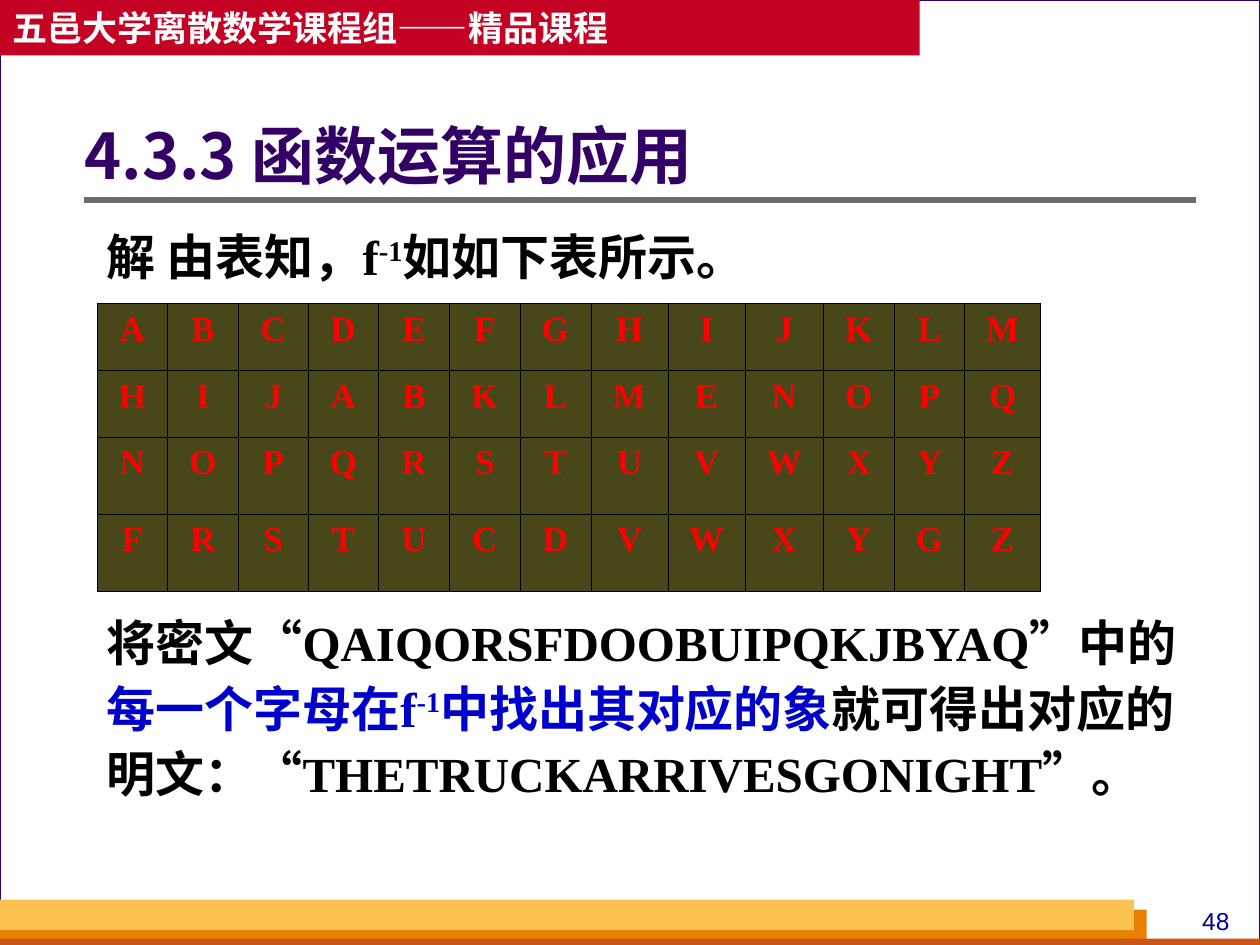
from collections import namedtuple
from dataclasses import dataclass

from lxml.etree import SubElement as Sub
from pptx import Presentation
from pptx.dml.color import RGBColor as RGB
from pptx.enum.shapes import MSO_CONNECTOR as Conn, MSO_SHAPE as Shape
from pptx.enum.text import MSO_ANCHOR as Anchor, PP_ALIGN as Align
from pptx.oxml.ns import qn
from pptx.util import Inches, Pt

Box = namedtuple("Box", "x y w h")
UNIT = Inches(0.1)  # the slide is a grid of 100 columns and 75 rows
COLS, ROWS = 100, 75


@dataclass(frozen=True)
class Theme:
    sans: str = "Noto Sans CJK SC"
    serif: str = "Times New Roman"
    plain: str = "Arial"
    back: str = "D8DADA"
    white: str = "FFFFFF"
    ink: str = "000000"
    title: str = "330066"
    red: str = "C30224"
    rule: str = "6B6B6B"
    gold: str = "FCC24F"
    orange: str = "E88000"
    rust: str = "C95616"
    number: str = "000099"
    mark: str = "0000CC"
    letter: str = "FF0000"
    cell: str = "333300"
    head_size: int = 20
    title_size: int = 36
    body_size: int = 28
    cell_size: int = 20
    page_size: int = 14


T = Theme()
HEAD = dict(name=T.sans, size=Pt(T.head_size), bold=True)
TITLE = dict(name=T.sans, size=Pt(T.title_size), bold=True)
BODY = dict(name=T.serif, size=Pt(T.body_size), bold=True)
CELL = dict(name=T.serif, size=Pt(T.cell_size), bold=True)
PAGE = dict(name=T.plain, size=Pt(T.page_size))

CIPHER = ["ABCDEFGHIJKLM", "HIJABKLMENOPQ", "NOPQRSTUVWXYZ", "FRSTUCDVWXYGZ"]
WIDE = [56, 56, 55, 56, 56, 56, 56, 61, 61, 62, 56, 56, 60]
TALL = [53, 53, 61, 61]
INTRO = [("解 由表知，f", T.ink, 0), ("-1", T.ink, 30), ("如如下表所示。", T.ink, 0)]
ANSWER = [
    ("将密文“QAIQORSFDOOBUIPQKJBYAQ”中的", T.ink, 0),
    ("每一个字母在f", T.mark, 0),
    ("-1", T.mark, 30),
    ("中找出其对应的象", T.mark, 0),
    ("就可得出对应的明文：“THETRUCKARRIVESGONIGHT”。", T.ink, 0),
]


def emu(*grid):
    return [int(n * UNIT) for n in grid]


def apply(item, form):
    for key, val in form.items():
        setattr(item, key, val)


def write(para, text, form, color, base=0):
    """Add a run; base raises it by a percentage."""
    run = para.add_run()
    run.text = text
    apply(run.font, form)
    run.font.color.rgb = RGB.from_string(color)
    props = run.font._element
    Sub(props, qn("a:ea"), typeface=T.sans)
    if base:
        props.set("baseline", str(base * 1000))


def block(slide, box, fill, line=None):
    shape = slide.shapes.add_shape(Shape.RECTANGLE, *emu(*box))
    shape.shadow.inherit = False
    shape.fill.solid()
    shape.fill.fore_color.rgb = RGB.from_string(fill)
    if line:
        shape.line.color.rgb = RGB.from_string(line)
        shape.line.width = Pt(0.75)
    else:
        shape.line.fill.background()
    return shape


def label(slide, box, **form):
    frame = slide.shapes.add_textbox(*emu(*box)).text_frame
    apply(frame, dict(word_wrap=True, **form))
    return frame


def banner(slide, box):
    frame = block(slide, box, T.red).text_frame
    apply(frame, dict(word_wrap=True, vertical_anchor=Anchor.MIDDLE))
    para = frame.paragraphs[0]
    para.alignment = Align.LEFT
    write(para, "五邑大学离散数学课程组——精品课程", HEAD, T.white)


def footer(slide, box):
    x, y, w, h = box
    block(slide, Box(x, y + 0.22 * h, 0.91 * w, 0.78 * h), T.orange)
    block(slide, Box(x, y + 0.86 * h, w, 0.14 * h), T.rust)
    block(slide, Box(x, y, 0.9 * w, 0.67 * h), T.gold)
    frame = label(slide, Box(x + 0.93 * w, y, 0.07 * w, 0.94 * h))
    para = frame.paragraphs[0]
    para.alignment = Align.CENTER
    write(para, "48", PAGE, T.number)


def heading(slide, box):
    """Title text with a rule across the lower part of its box."""
    x, y, w, h = box
    low = y + 0.82 * h
    rule = slide.shapes.add_connector(Conn.STRAIGHT, *emu(x, low, x + w, low))
    rule.line.color.rgb = RGB.from_string(T.rule)
    rule.line.width = Pt(3)
    Sub(rule._element.spPr, qn("a:effectLst"))
    frame = label(slide, box, margin_left=0, vertical_anchor=Anchor.MIDDLE)
    para = frame.paragraphs[0]
    para.line_spacing = 0.9
    write(para, "4.3.3 函数运算的应用", TITLE, T.title)


def body(slide, box):
    """Two paragraphs, with room for the table between them."""
    frame = label(slide, box)
    first, last = frame.paragraphs[0], frame.add_paragraph()
    last.space_before = Pt(183)
    for para, parts in ((first, INTRO), (last, ANSWER)):
        para.line_spacing = Pt(37.4)
        for text, color, base in parts:
            write(para, text, BODY, color, base)


def border(props):
    for side in ("lnL", "lnR", "lnT", "lnB"):
        line = Sub(props, qn(f"a:{side}"), w=str(Pt(0.45)))
        Sub(Sub(line, qn("a:solidFill")), qn("a:srgbClr"), val=T.ink)


def cipher(slide, box):
    grid = slide.shapes.add_table(len(TALL), len(WIDE), *emu(*box)).table
    apply(grid, dict(first_row=False, horz_banding=False))
    for col, part in zip(grid.columns, WIDE):
        col.width = int(box.w * UNIT * part / sum(WIDE))
    for row, part, line in zip(grid.rows, TALL, CIPHER):
        row.height = int(box.h * UNIT * part / sum(TALL))
        for cell, char in zip(row.cells, line):
            props = cell._tc.get_or_add_tcPr()
            border(props)
            cell.fill.solid()
            cell.fill.fore_color.rgb = RGB.from_string(T.cell)
            tint = props.find(qn("a:solidFill")).find(qn("a:srgbClr"))
            Sub(tint, qn("a:alpha"), val="90000")
            para = cell.text_frame.paragraphs[0]
            para.alignment = Align.CENTER
            write(para, char, CELL, T.letter)


def main():
    deck = Presentation()
    deck.slide_width, deck.slide_height = emu(COLS, ROWS)
    slide = deck.slides.add_slide(deck.slide_layouts[6])
    back = slide.background.fill
    back.solid()
    back.fore_color.rgb = RGB.from_string(T.back)
    block(slide, Box(0, 0, COLS, ROWS), T.white, T.title)
    footer(slide, Box(0, 71.4, COLS, 3.6))
    banner(slide, Box(0, 0, 73, 4.4))
    heading(slide, Box(6.7, 7.6, 88.2, 10.1))
    body(slide, Box(7.5, 17, 89.2, 50))
    cipher(slide, Box(7.7, 24.1, 74.9, 22.8))
    deck.save("out.pptx")


if __name__ == "__main__":
    main()
